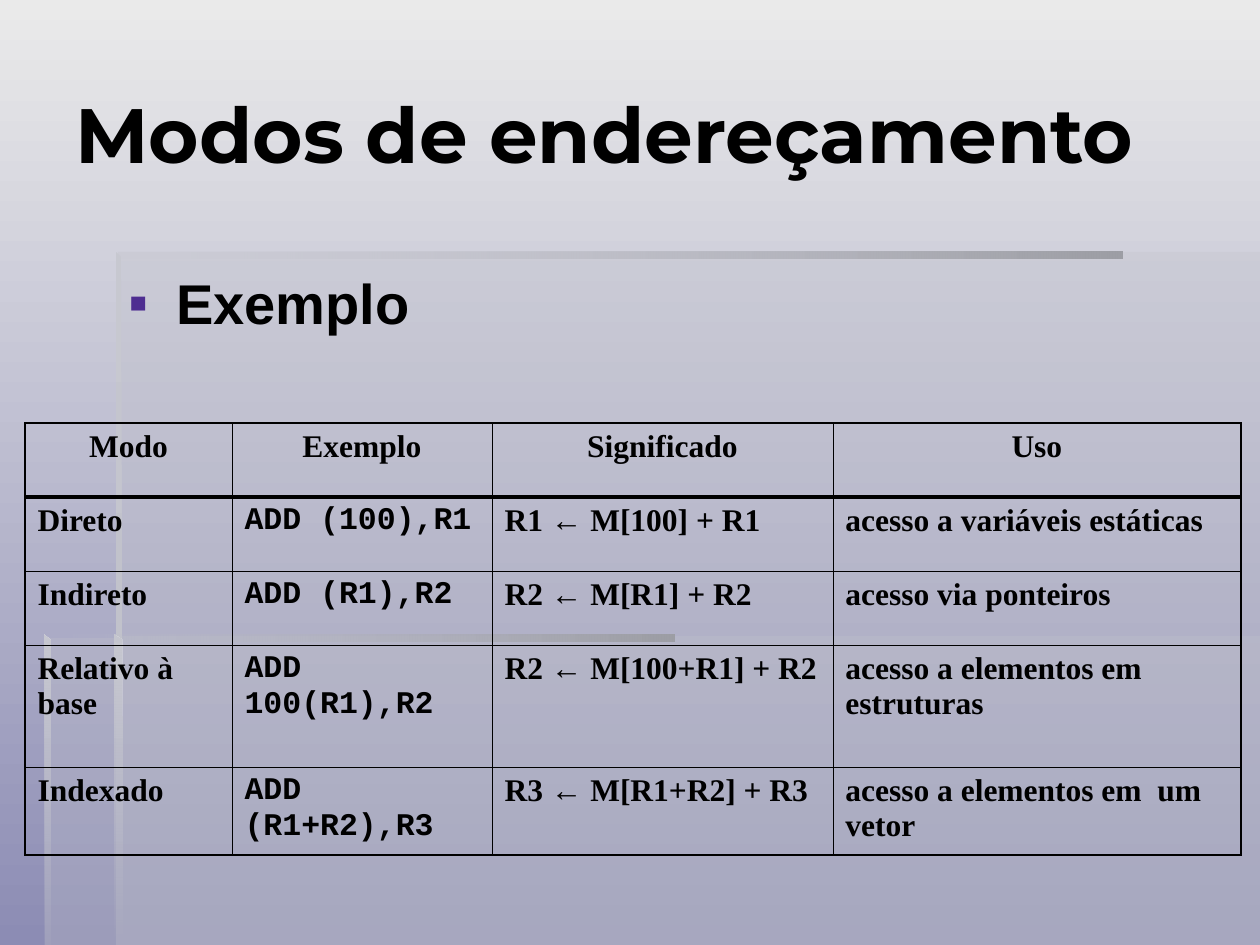
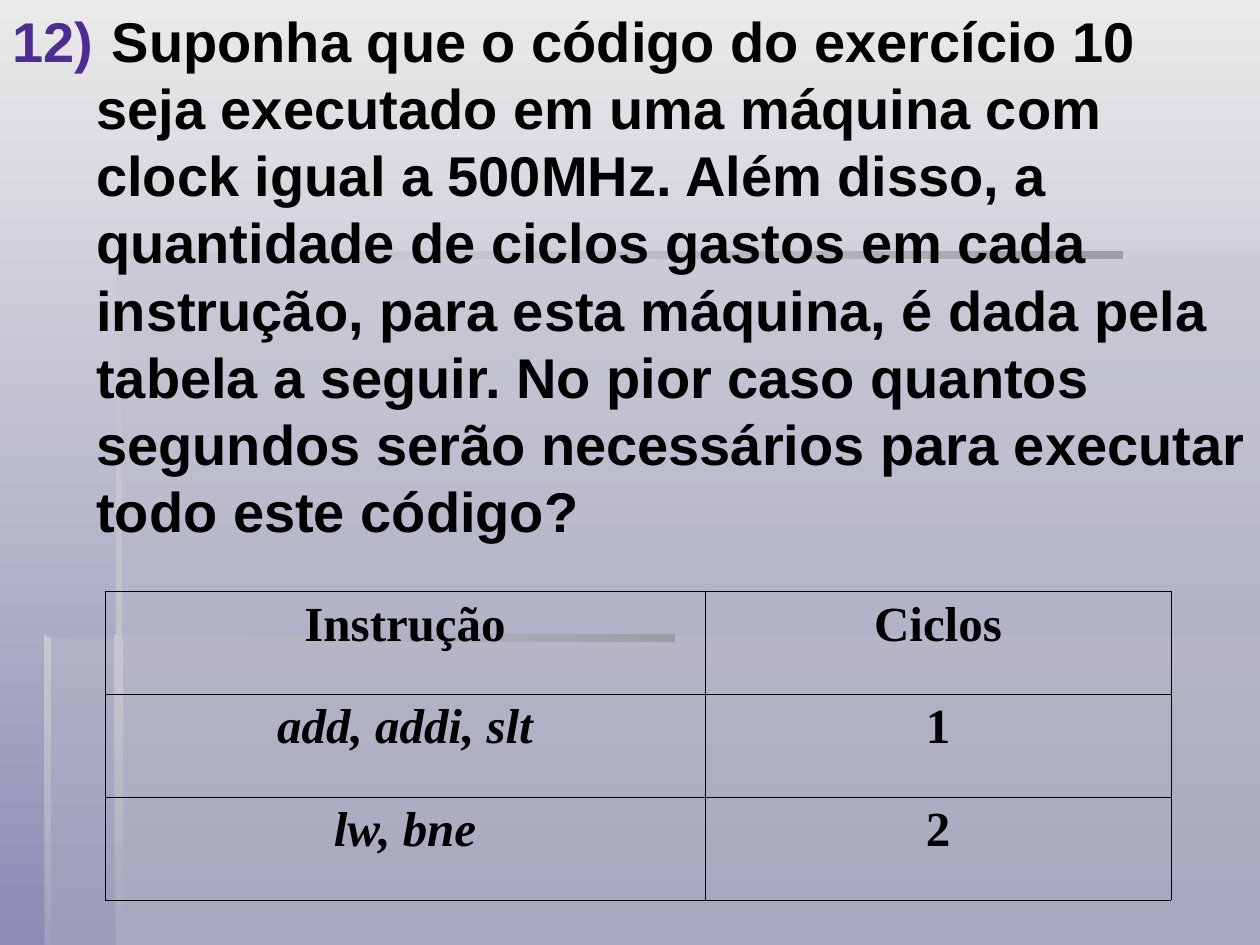
"""Build two slides on addressing modes and instruction cycles."""
from dataclasses import dataclass

from lxml.etree import SubElement
from pptx import Presentation
from pptx.dml.color import RGBColor
from pptx.enum.text import MSO_ANCHOR, PP_ALIGN
from pptx.oxml.ns import qn
from pptx.util import Pt

PX = 7257


@dataclass(frozen=True)
class Theme:
    ink: str = "000000"
    bullet: str = "4E2D91"
    sky: str = "EAEAEA"
    dusk: str = "8C8CB4"
    panel: str = "C1C2CB"
    bar: str = "9D9EA5"
    edge: str = "C7C8D0"
    heading: str = "Montserrat"
    body: str = "Arial"
    serif: str = "Times New Roman"
    code: str = "Courier New"
    title_size: int = 44
    body_size: int = 32
    cycles_size: int = 28
    modes_size: int = 18
    thin: float = 0.45
    medium: float = 0.96
    thick: float = 2.5


theme = Theme()


def write(para, text, font, size):
    """Fill a bold paragraph, setting arrows in the body font."""
    before, arrow, after = text.partition("←")
    for part in filter(None, (before, arrow, after)):
        span = para.add_run()
        span.text = part
        if part == "←":
            span.font.name = theme.body
    para.font.name = font
    para.font.size = Pt(size)
    para.font.bold = True
    para.font.color.rgb = RGBColor.from_string(theme.ink)


def add_grid(page, left, top, widths, heights, rows, fonts, size, outer, rule, centred_rows):
    """Add an unfilled, ruled table and return it."""
    frame = page.shapes.add_table(len(rows), len(widths), left * PX, top * PX,
                                  sum(widths) * PX, sum(heights) * PX)
    table = frame.table
    table.first_row = table.horz_banding = False
    for column, width in zip(table.columns, widths):
        column.width = width * PX
    for row, height in zip(table.rows, heights):
        row.height = height * PX
    last_row, last_column = len(rows) - 1, len(widths) - 1
    for r, texts in enumerate(rows):
        for c, text in enumerate(texts):
            cell = table.cell(r, c)
            para = cell.text_frame.paragraphs[0]
            write(para, text, fonts[c] if r else theme.serif, size)
            if r < centred_rows:
                para.alignment = PP_ALIGN.CENTER
            borders = {
                "a:lnL": outer if c == 0 else theme.thin,
                "a:lnR": outer if c == last_column else theme.thin,
                "a:lnT": outer if r == 0 else rule if r == 1 else theme.thin,
                "a:lnB": rule if r == 0 else outer if r == last_row else theme.thin,
            }
            properties = cell._tc.get_or_add_tcPr()
            for side, weight in borders.items():
                line = SubElement(properties, qn(side), w=str(Pt(weight)))
                SubElement(SubElement(line, qn("a:solidFill")), qn("a:srgbClr"), val=theme.ink)
            cell.fill.background()
    return table


deck = Presentation()
deck.slide_width, deck.slide_height = 1260 * PX, 945 * PX
modes_page, cycles_page = [deck.slides.add_slide(deck.slide_layouts[6]) for _ in range(2)]

DOWN, LEFTWARD = 270, 180
backdrop = [
    ([(116, 636), (116, 945), (1260, 945), (1260, 636)], None, theme.panel, 30),
    ([(118, 638), (45, 638), (45, 945), (1260, 945), (1260, 252), (118, 252)], None, theme.panel, 30),
    ([(116, 252), (116, 258), (1123, 258), (1123, 252)], LEFTWARD, theme.bar, 0),
    ([(116, 252), (116, 643), (122, 643), (121, 257)], DOWN, theme.edge, 100),
    ([(115, 945), (122, 945), (121, 640), (115, 635)], DOWN, theme.edge, 0),
    ([(44, 635), (44, 641), (674, 641), (674, 635)], LEFTWARD, theme.bar, 0),
    ([(44, 635), (44, 945), (50, 945), (50, 641)], DOWN, theme.edge, 10),
]
for page in (modes_page, cycles_page):
    sky = page.background.fill
    sky.gradient()
    sky.gradient_angle = DOWN
    for stop, colour in zip(sky.gradient_stops, (theme.sky, theme.dusk)):
        stop.color.rgb = RGBColor.from_string(colour)
    for points, angle, colour, opacity in backdrop:
        builder = page.shapes.build_freeform(*points[0], scale=PX)
        builder.add_line_segments(points[1:], close=True)
        shape = builder.convert_to_shape()
        shape.shadow.inherit = False
        shape.line.fill.background()
        if angle is None:
            shape.fill.solid()
            shape.fill.fore_color.rgb = RGBColor.from_string(colour)
        else:
            shape.fill.gradient()
            shape.fill.gradient_angle = angle
            for stop, tint in zip(shape.fill.gradient_stops, (colour, theme.panel)):
                stop.color.rgb = RGBColor.from_string(tint)
        faded = list(shape._element.iter(qn("a:srgbClr")))[-1]
        SubElement(faded, qn("a:alpha"), val=str(opacity * 1000))

title = modes_page.shapes.add_textbox(63 * PX, 34 * PX, 1155 * PX, 198 * PX).text_frame
title.word_wrap = True
title.vertical_anchor = MSO_ANCHOR.MIDDLE
write(title.paragraphs[0], "Modos de endereçamento", theme.heading, theme.title_size)

question = (
    " Suponha que o código do exercício 10 seja executado em uma máquina com clock igual a 500MHz. "
    "Além disso, a quantidade de ciclos gastos em cada instrução, para esta máquina, é dada pela "
    "tabela a seguir. No pior caso quantos segundos serão necessários para executar todo este código?"
)
bodies = [
    (modes_page, (116, 262, 542, 577), 48, "Exemplo", "a:buChar", {"char": "▪"}),
    (cycles_page, (0, 0, 1260, 582), 84, question, "a:buAutoNum",
     {"type": "arabicParenR", "startAt": "12"}),
]
for page, place, indent, text, marker, settings in bodies:
    box = page.shapes.add_textbox(*[length * PX for length in place])
    box.text_frame.word_wrap = True
    para = box.text_frame.paragraphs[0]
    properties = para._p.get_or_add_pPr()
    properties.set("marL", str(indent * PX))
    properties.set("indent", str(-indent * PX))
    SubElement(SubElement(properties, qn("a:buClr")), qn("a:srgbClr"), val=theme.bullet)
    SubElement(properties, qn("a:buFont"), typeface=theme.body)
    SubElement(properties, qn(marker), **settings)
    para.space_before = Pt(8)
    para.line_spacing = Pt(theme.body_size * 1.2)
    write(para, text, theme.body, theme.body_size)

modes = [
    ("Modo", "Exemplo", "Significado", "Uso"),
    ("Direto", "ADD (100),R1", "R1 ← M[100] + R1", "acesso a variáveis estáticas"),
    ("Indireto", "ADD (R1),R2", "R2 ← M[R1] + R2", "acesso via ponteiros"),
    ("Relativo à base", "ADD 100(R1),R2", "R2 ← M[100+R1] + R2", "acesso a elementos em estruturas"),
    ("Indexado", "ADD (R1+R2),R3", "R3 ← M[R1+R2] + R3", "acesso a elementos em  um vetor"),
]
add_grid(modes_page, 25, 423, (207, 260, 341, 408), (74, 74, 74, 122, 88), modes,
         (theme.serif, theme.code, theme.serif, theme.serif), theme.modes_size,
         outer=theme.medium, rule=theme.thick, centred_rows=1)

cycles = [("Instrução", "Ciclos"), ("add, addi, slt", "1"), ("lw, bne", "2")]
cycles_table = add_grid(cycles_page, 105, 591, (600, 466), [103] * 3, cycles,
                        [theme.serif] * 2, theme.cycles_size,
                        outer=theme.thin, rule=theme.thin, centred_rows=3)
for r in (1, 2):
    cycles_table.cell(r, 0).text_frame.paragraphs[0].font.italic = True

deck.save("out.pptx")
